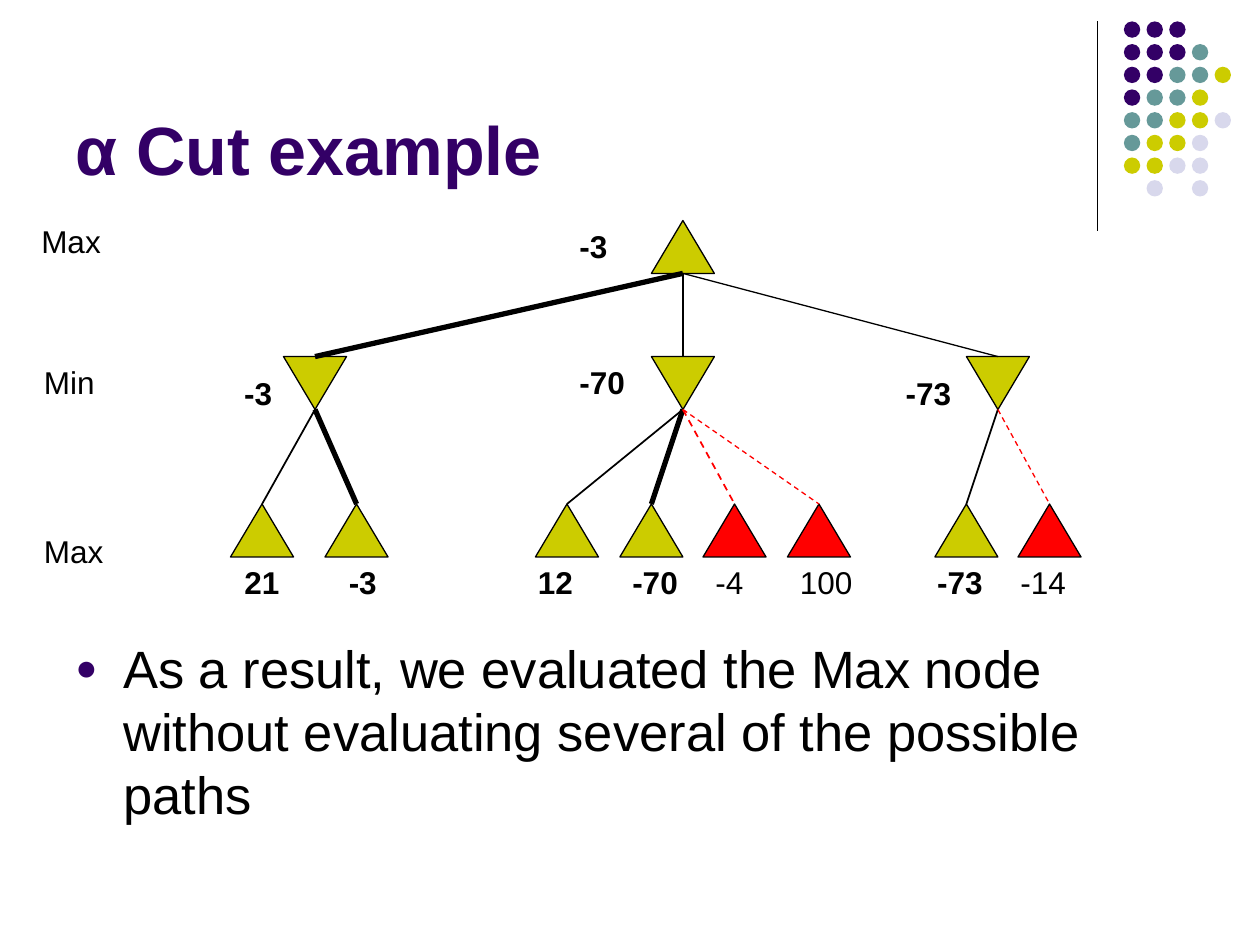
from lxml import etree
from pptx import Presentation
from pptx import util as u
from pptx.dml.color import RGBColor
from pptx.enum import dml, shapes, text
from pptx.oxml.ns import qn

BLACK, PURPLE, TEAL = "000000", "330066", "669999"
OLIVE, PALE, RED = "CCCC00", "D8D8EC", "FF0000"

NODE_W, NODE_H = 0.5, 0.42
ROOT_Y, MIN_Y, LEAF_Y = 1.75, 2.83, 4

# Dot colours by row: purple, teal, olive, pale
DOT_ROWS = ["PPP", "PPPT", "PPTTO", "PTTO", "TTOOL", "TOOL", "OOLL", " L L"]
DOT_COLORS = {"P": PURPLE, "T": TEAL, "O": OLIVE, "L": PALE}

# Min nodes: centre x, value, value position, edge width, leaves
# Leaves: centre x, value, value left, edge width, pruned
BRANCHES = [
    (2.5, "-3", (1.84, 2.92), 3, [
        (2.08, "21", 1.84, 1, False),
        (2.83, "-3", 2.67, 3, False)]),
    (5.42, "-70", (4.5, 2.83), 1, [
        (4.5, "12", 4.17, 1, False),
        (5.17, "-70", 4.92, 3, False),
        (5.83, "-4", 5.58, 1, True),
        (6.5, "100", 6.25, 0.75, True)]),
    (7.92, "-73", (7.09, 2.92), 0.75, [
        (7.67, "-73", 7.34, 1, False),
        (8.33, "-14", 8, 0.75, True)]),
]
# Level names: text, left, top, width
LEVELS = [("Max", 0.23, 1.71, 0.67), ("Min", 0.25, 2.83, 0.6),
          ("Max", 0.25, 4.17, 0.67)]


def color(hex_string):
    return RGBColor.from_string(hex_string)


def add_shape(slide, kind, left, top, width, height, fill, outlined=False):
    shape = slide.shapes.add_shape(
        kind, *(u.Inches(value) for value in (left, top, width, height)))
    shape.shadow.inherit = False
    shape.fill.solid()
    shape.fill.fore_color.rgb = color(fill)
    if outlined:
        shape.line.color.rgb = color(BLACK)
        shape.line.width = u.Pt(0.75)
    else:
        shape.line.fill.background()
    return shape


def add_line(slide, start, end, width, hex_string=BLACK, dashed=False):
    line = slide.shapes.add_connector(
        shapes.MSO_CONNECTOR.STRAIGHT,
        *(u.Inches(value) for value in (*start, *end)))
    line.line.color.rgb = color(hex_string)
    line.line.width = u.Pt(width)
    if dashed:
        line.line.dash_style = dml.MSO_LINE.DASH
    etree.SubElement(line._element.spPr, qn("a:effectLst"))


def add_text(slide, box, content, size, hex_string=BLACK, bold=False):
    shape = slide.shapes.add_textbox(*(u.Inches(value) for value in box))
    frame = shape.text_frame
    frame.text = content
    frame.word_wrap = True
    font = frame.paragraphs[0].runs[0].font
    font.name = "Arial"
    font.size = u.Pt(size)
    font.bold = bold
    font.color.rgb = color(hex_string)
    return frame


def add_label(slide, left, top, width, content, bold=False):
    frame = add_text(slide, (left, top, width, 0.4), content, 18, bold=bold)
    frame.word_wrap = False
    frame.auto_size = text.MSO_AUTO_SIZE.SHAPE_TO_FIT_TEXT


def add_value(slide, left, top, value, bold=True):
    # A hyphen is narrower than a digit
    width = 0.21 + sum(0.08 if sign == "-" else 0.14 for sign in value)
    add_label(slide, left, top, width, value, bold)


def add_node(slide, center, top, fill=OLIVE, inverted=False):
    node = add_shape(slide, shapes.MSO_SHAPE.ISOSCELES_TRIANGLE,
                     center - NODE_W / 2, top, NODE_W, NODE_H, fill, True)
    if inverted:
        node.rotation = 180


def add_dots(slide, left, top, pitch, diameter):
    for row, codes in enumerate(DOT_ROWS):
        for column, code in enumerate(codes):
            if code in DOT_COLORS:
                add_shape(slide, shapes.MSO_SHAPE.OVAL,
                          left + column * pitch, top + row * pitch,
                          diameter, diameter, DOT_COLORS[code])


def add_title(slide, box, content):
    frame = add_text(slide, box, content, 39, PURPLE, bold=True)
    frame.vertical_anchor = text.MSO_ANCHOR.BOTTOM


def add_body(slide, box, content):
    frame = add_text(slide, box, content, 30)
    paragraph = frame.paragraphs[0]
    paragraph.space_before = u.Pt(7.5)
    properties = paragraph._p.get_or_add_pPr()
    properties.set("marL", str(u.Inches(0.38)))
    properties.set("indent", str(-u.Inches(0.38)))
    bullet_color = etree.SubElement(properties, qn("a:buClr"))
    etree.SubElement(bullet_color, qn("a:srgbClr"), val=PURPLE)
    etree.SubElement(properties, qn("a:buSzPct"), val="70000")
    etree.SubElement(properties, qn("a:buFont"), typeface="Arial")
    etree.SubElement(properties, qn("a:buChar"), char="●")


def add_tree(slide, root_x):
    # Nodes
    add_node(slide, root_x, ROOT_Y)
    for center, _, _, _, leaves in BRANCHES:
        add_node(slide, center, MIN_Y, inverted=True)
        for leaf_x, _, _, _, pruned in leaves:
            add_node(slide, leaf_x, LEAF_Y, RED if pruned else OLIVE)

    # Edges and values
    add_value(slide, 4.5, ROOT_Y, "-3")
    for center, value, position, width, leaves in BRANCHES:
        add_line(slide, (root_x, ROOT_Y + NODE_H), (center, MIN_Y), width)
        add_value(slide, *position, value)
        for leaf_x, leaf_value, left, leaf_width, pruned in leaves:
            add_line(slide, (center, MIN_Y + NODE_H), (leaf_x, LEAF_Y),
                     leaf_width, RED if pruned else BLACK, pruned)
            add_value(slide, left, LEAF_Y + NODE_H, leaf_value, not pruned)

    # Level names
    for name, left, top, width in LEVELS:
        add_label(slide, left, top, width, name)


def main():
    presentation = Presentation()
    presentation.slide_width = u.Inches(10)
    presentation.slide_height = u.Inches(7.5)
    slide = presentation.slides.add_slide(presentation.slide_layouts[6])

    # Corner decoration
    add_line(slide, (8.71, 0.17), (8.71, 1.83), 0.75)
    add_dots(slide, 8.92, 0.17, 0.18, 0.13)

    add_title(slide, (0.5, 0.13, 8.25, 1.42), "α Cut example")
    add_body(slide, (0.5, 5, 9, 1.7),
             "As a result, we evaluated the Max node without evaluating "
             "several of the possible paths")
    add_tree(slide, 5.42)
    presentation.save("out.pptx")


if __name__ == "__main__":
    main()
